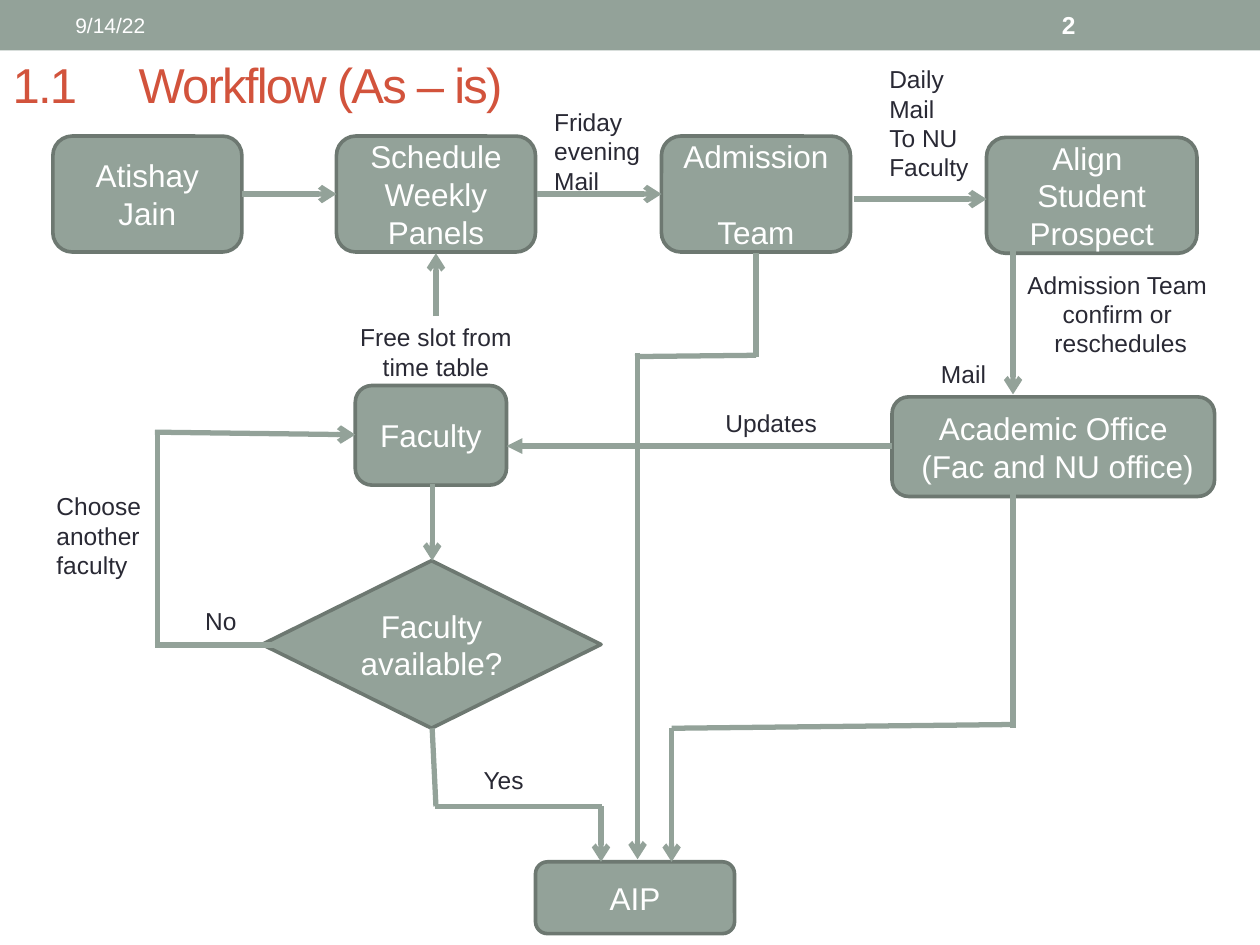
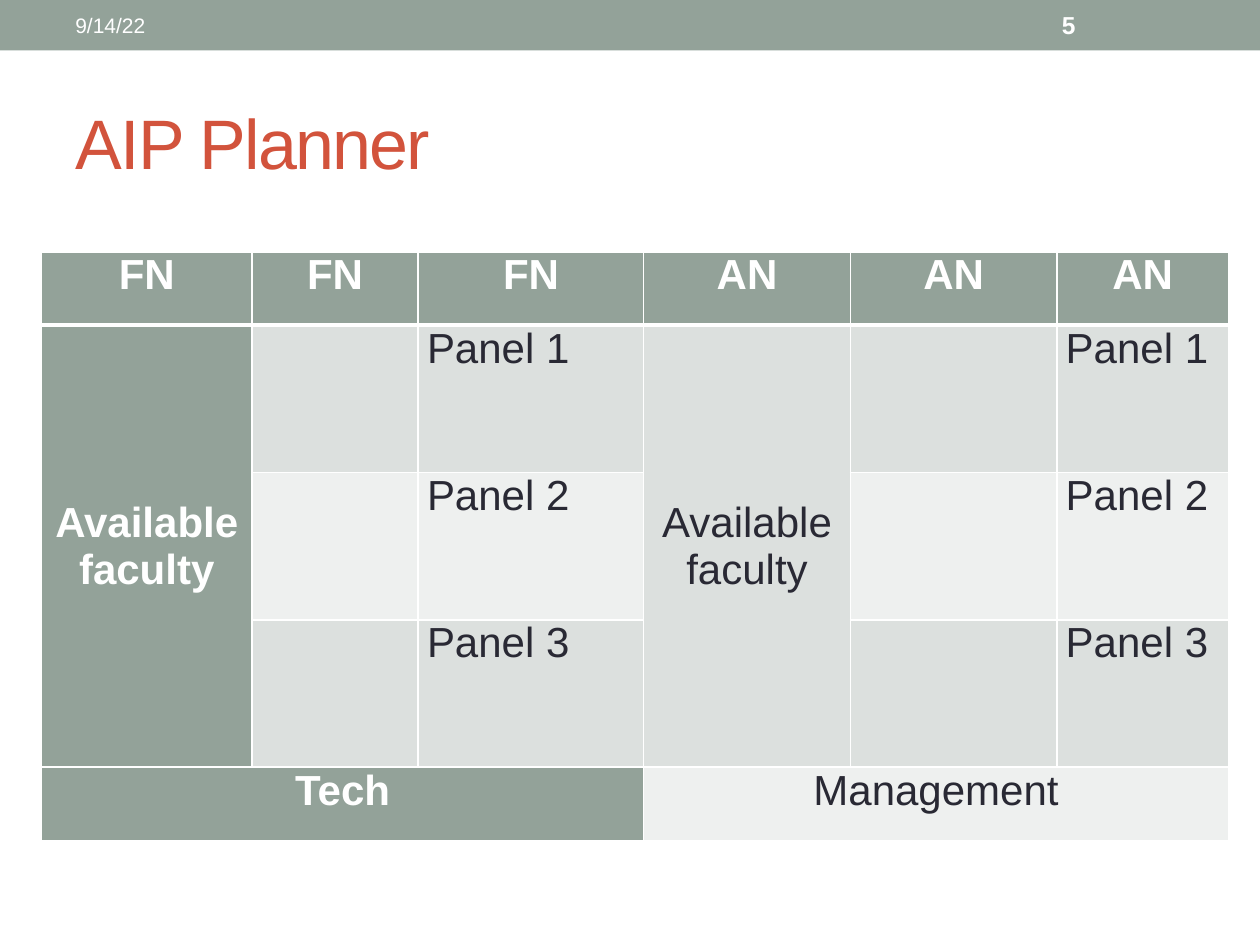
from typing import Any, NamedTuple

from lxml import etree
from pptx import Presentation
from pptx import util as u
from pptx.dml.color import RGBColor
from pptx.enum import shapes, text
from pptx.oxml import ns

PX = 9144
FACE = "Arial"
SAGE, EDGE, RUST, INK, WHITE = "93A299", "6D7871", "D2533C", "292934", "FFFFFF"
DARK, PALE = "DCE0DE", "EEF0EF"
LEFT, MID = text.PP_ALIGN.LEFT, text.PP_ALIGN.CENTER
TOP, CORE = text.MSO_ANCHOR.TOP, text.MSO_ANCHOR.MIDDLE
KIND = shapes.MSO_SHAPE
ROUND = KIND.ROUNDED_RECTANGLE


class Area(NamedTuple):
    x: int
    y: int
    w: int
    h: int


class Style(NamedTuple):
    size: int
    ink: str
    bold: bool = False
    align: Any = LEFT


class Box(NamedTuple):
    words: str
    area: Area
    kind: Any = ROUND


class Label(NamedTuple):
    words: str
    area: Area
    align: Any = LEFT


class Link(NamedTuple):
    x1: int
    y1: int
    x2: int
    y2: int
    head: str = ""


class Cell(NamedTuple):
    row: int
    col: int
    words: str
    style: Style
    fill: str
    rows: int = 1
    cols: int = 1
    anchor: Any = TOP


NODE = Style(18, WHITE, align=MID)
HEAD = Style(24, WHITE, True, MID)
BODY = Style(24, INK)
CENTRED = Style(24, INK, align=MID)

BOXES = [
    Box("Align \vStudent Prospect", Area(783, 109, 167, 92), KIND.FLOWCHART_ALTERNATE_PROCESS),
    Box("Admission \vTeam", Area(525, 108, 150, 92)),
    Box("Schedule\vWeekly\nPanels", Area(267, 108, 158, 92)),
    Box("Atishay Jain", Area(42, 108, 150, 92)),
    Box("AIP", Area(425, 684, 158, 57)),
    Box("Faculty", Area(282, 306, 120, 79)),
    Box("Academic Office\v (Fac and NU office)", Area(708, 315, 256, 79)),
    Box("Faculty\navailable?", Area(208, 445, 269, 133), KIND.FLOWCHART_DECISION),
]

LABELS = [
    Label("Free slot from time table", Area(267, 251, 158, 57), MID),
    Label("Daily Mail\nTo NU\nFaculty", Area(696, 46, 87, 104)),
    Label("Friday\vevening\vMail", Area(430, 80, 97, 81)),
    Label("Admission Team \vconfirm or \vreschedules", Area(778, 209, 223, 81), MID),
    Label("Mail", Area(737, 280, 67, 34)),
    Label("Yes", Area(374, 602, 67, 34)),
    Label("No", Area(153, 476, 67, 34)),
    Label("Choose another faculty", Area(35, 385, 103, 81)),
    Label("Updates", Area(566, 319, 103, 34)),
]

LINKS = [
    Link(192, 154, 267, 154, "arrow"),
    Link(426, 154, 525, 154, "arrow"),
    Link(678, 158, 783, 158, "arrow"),
    Link(804, 198, 804, 313, "arrow"),
    Link(346, 251, 346, 201, "arrow"),
    Link(343, 384, 343, 445, "arrow"),
    Link(343, 578, 346, 640),
    Link(345, 640, 478, 640),
    Link(477, 640, 477, 684, "arrow"),
    Link(123, 512, 257, 512),
    Link(125, 343, 125, 510),
    Link(123, 343, 282, 345, "arrow"),
    Link(506, 280, 506, 682, "arrow"),
    Link(533, 578, 533, 684, "arrow"),
    Link(804, 391, 804, 578),
    Link(533, 578, 804, 575),
    Link(708, 354, 402, 354, "triangle"),
    Link(504, 283, 600, 282),
    Link(600, 201, 600, 283),
]

COLS = [167, 132, 179, 164, 164, 136]
ROWS = [58, 117, 117, 117, 58]


def put(thing: Any, **vals: Any) -> None:
    for name, val in vals.items():
        setattr(thing, name, val)


def tint(code: str) -> RGBColor:
    return RGBColor.from_string(code)


def scale(area: Area) -> list[u.Emu]:
    return [u.Emu(side * PX) for side in area]


def paint(fill: Any, code: str) -> None:
    fill.solid()
    fill.fore_color.rgb = tint(code)


def write(frame: Any, words: str, style: Style) -> None:
    frame.text = words
    for para in frame.paragraphs:
        para.alignment = style.align
        for run in para.runs:
            put(run.font, name=FACE, size=u.Pt(style.size), bold=style.bold)
            run.font.color.rgb = tint(style.ink)


def note(slide: Any, words: str, area: Area, style: Style, **form: Any) -> None:
    frame = slide.shapes.add_textbox(*scale(area)).text_frame
    put(frame, word_wrap=True, **form)
    write(frame, words, style)


def block(slide: Any, box: Box, edge: str = "") -> None:
    shape = slide.shapes.add_shape(box.kind, *scale(box.area))
    shape.shadow.inherit = False
    paint(shape.fill, SAGE)
    if edge:
        shape.line.width = u.Pt(2.08)
        shape.line.color.rgb = tint(edge)
    else:
        shape.line.fill.background()
    if box.words:
        put(shape.text_frame, word_wrap=True, vertical_anchor=CORE)
        write(shape.text_frame, box.words, NODE)


def join(slide: Any, link: Link) -> None:
    ends = [u.Emu(spot * PX) for spot in link[:4]]
    line = slide.shapes.add_connector(shapes.MSO_CONNECTOR.STRAIGHT, *ends)
    line.line.width = u.Pt(3)
    line.line.color.rgb = tint(SAGE)
    props = line._element.spPr
    if link.head:
        etree.SubElement(props.find(ns.qn("a:ln")), ns.qn("a:tailEnd"), type=link.head)
    etree.SubElement(props, ns.qn("a:effectLst"))


def start(deck: Any, title: str, area: Area, size: int, page: str) -> Any:
    slide = deck.slides.add_slide(deck.slide_layouts[5])
    block(slide, Box("", Area(0, 0, 1000, 40), KIND.RECTANGLE))
    head = slide.shapes.title
    put(head, **dict(zip(("left", "top", "width", "height"), scale(area))))
    put(head.text_frame, word_wrap=True, vertical_anchor=CORE, auto_size=text.MSO_AUTO_SIZE.NONE)
    write(head.text_frame, title, Style(size, RUST))
    for run in head.text_frame.paragraphs[0].runs:
        run._r.get_or_add_rPr().set("spc", "-100")
    note(slide, "9/14/22", Area(50, 2, 317, 36), Style(12, WHITE), vertical_anchor=CORE)
    note(slide, page, Area(833, 2, 117, 36), Style(14, WHITE, True), vertical_anchor=CORE)
    return slide


def rule(cell: Any, side: str, width: float) -> None:
    props = cell._tc.get_or_add_tcPr()
    line = etree.SubElement(props, ns.qn(f"a:ln{side}"), w=str(u.Pt(width)))
    fill = etree.SubElement(line, ns.qn("a:solidFill"))
    etree.SubElement(fill, ns.qn("a:srgbClr"), val=WHITE)


def plan() -> list[Cell]:
    cells = [Cell(0, col, "FN" if col < 3 else "AN", HEAD, SAGE) for col in range(6)]
    for row in range(1, 4):
        fill = DARK if row % 2 else PALE
        for col in (1, 4):
            cells.append(Cell(row, col, "", BODY, fill))
            cells.append(Cell(row, col + 1, f"Panel {row}", BODY, fill))
    return cells + [
        Cell(1, 0, "Available faculty", HEAD, SAGE, rows=3, anchor=CORE),
        Cell(1, 3, "Available faculty", CENTRED, DARK, rows=3, anchor=CORE),
        Cell(4, 0, "Tech", HEAD, SAGE, cols=3),
        Cell(4, 3, "Management", CENTRED, PALE, cols=3),
    ]


def grid(slide: Any) -> None:
    area = Area(33, 200, sum(COLS), sum(ROWS))
    table = slide.shapes.add_table(len(ROWS), len(COLS), *scale(area)).table
    for col, width in zip(table.columns, COLS):
        col.width = u.Emu(width * PX)
    for row, height in zip(table.rows, ROWS):
        row.height = u.Emu(height * PX)
    for item in plan():
        for row in range(item.row, item.row + item.rows):
            for col in range(item.col, item.col + item.cols):
                cell = table.cell(row, col)
                for side in "LRTB":
                    thick = (side, row) in (("B", 0), ("T", 1))
                    rule(cell, side, 3 if thick else 1)
                paint(cell.fill, item.fill)
        cell = table.cell(item.row, item.col)
        if item.rows * item.cols > 1:
            cell.merge(table.cell(item.row + item.rows - 1, item.col + item.cols - 1))
        side = u.Emu(7 * PX)
        put(cell, margin_left=side, margin_right=side, margin_top=0, margin_bottom=0,
            vertical_anchor=item.anchor)
        write(cell.text_frame, item.words, item.style)


def flow(deck: Any) -> None:
    slide = start(deck, "1.1\tWorkflow (As – is)", Area(0, 4, 867, 125), 28, "2")
    for box in BOXES:
        block(slide, box, EDGE)
    for label in LABELS:
        note(slide, label.words, label.area, Style(14, INK, align=label.align),
             auto_size=text.MSO_AUTO_SIZE.SHAPE_TO_FIT_TEXT)
    for link in LINKS:
        join(slide, link)


def main() -> None:
    deck = Presentation()
    put(deck, slide_width=u.Emu(1000 * PX), slide_height=u.Emu(750 * PX))
    flow(deck)
    grid(start(deck, "AIP Planner", Area(50, 58, 900, 108), 40, "5"))
    deck.save("out.pptx")


if __name__ == "__main__":
    main()
